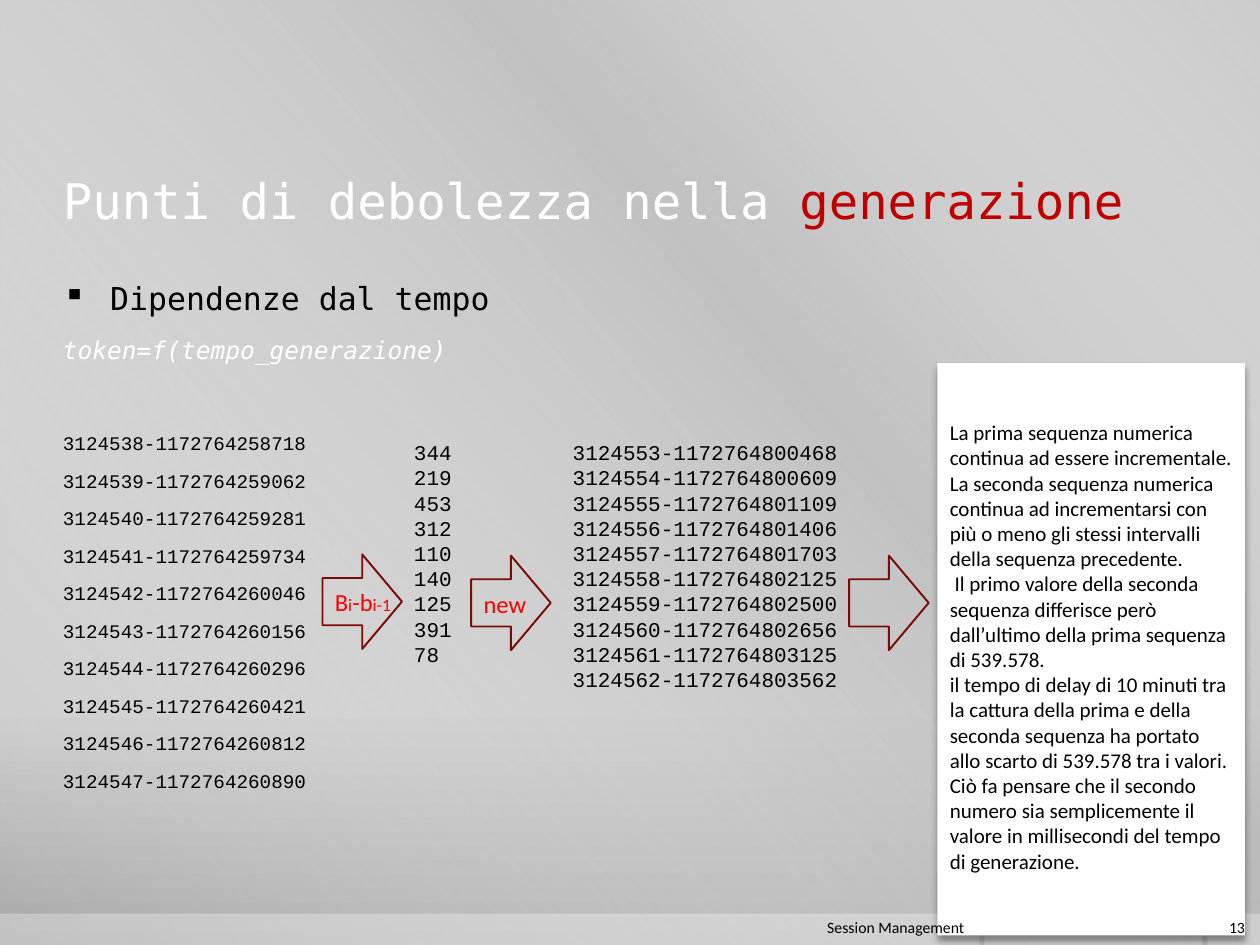
import lxml.etree as etree
import pptx
import pptx.dml.color
import pptx.enum.shapes
import pptx.enum.text
import pptx.oxml.ns
import pptx.util

Pt = pptx.util.Pt
SHAPE = pptx.enum.shapes.MSO_SHAPE
ANCHOR = pptx.enum.text.MSO_ANCHOR
ALIGN = pptx.enum.text.PP_ALIGN
MONO, CODE, SANS = "DejaVu Sans Mono", "Courier New", "Calibri"
COLORS = {
    "white": "FFFFFF", "black": "000000", "accent": "C00000", "label": "FF0000",
    "outline": "7A0C07", "light": "CBCBCB", "mid": "C8C8C8", "dark": "A7A7A7",
    "sheen": "BFBFBF",
}
FIRST_TOKENS = [
    "3124538-1172764258718", "3124539-1172764259062", "3124540-1172764259281",
    "3124541-1172764259734", "3124542-1172764260046", "3124543-1172764260156",
    "3124544-1172764260296", "3124545-1172764260421", "3124546-1172764260812",
    "3124547-1172764260890",
]
DIFFERENCES = ["344", "219", "453", "312", "110", "140", "125", "391", "78"]
SECOND_TOKENS = [
    "3124553-1172764800468", "3124554-1172764800609", "3124555-1172764801109",
    "3124556-1172764801406", "3124557-1172764801703", "3124558-1172764802125",
    "3124559-1172764802500", "3124560-1172764802656", "3124561-1172764803125",
    "3124562-1172764803562",
]
REMARKS = [
    "La prima sequenza numerica continua ad essere incrementale.",
    "La seconda sequenza numerica continua ad incrementarsi con più o meno "
    "gli stessi intervalli della sequenza precedente.",
    " Il primo valore della seconda sequenza differisce però dall’ultimo "
    "della prima sequenza di 539.578.",
    "il tempo di delay di 10 minuti tra la cattura della prima e della seconda "
    "sequenza ha portato allo scarto di 539.578 tra i valori. Ciò fa pensare che "
    "il secondo numero sia semplicemente il valore in millisecondi del tempo di "
    "generazione.",
]


def rgb(color):
    return pptx.dml.color.RGBColor.from_string(COLORS[color])


def add_xml(parent, tag, **attrs):
    el = etree.SubElement(parent, pptx.oxml.ns.qn(tag))
    for name, value in attrs.items():
        el.set(name, str(value))
    return el


def add_color(parent, color, opacity):
    el = add_xml(parent, "a:srgbClr", val=COLORS[color])
    if opacity < 100:
        add_xml(el, "a:alpha", val=opacity * 1000)


def set_gradient(fill, owner, stops, angle):
    fill.gradient()
    grad = next(owner.iter(pptx.oxml.ns.qn("a:gradFill")))
    for child in list(grad):
        grad.remove(child)
    gs_list = add_xml(grad, "a:gsLst")
    for pos, color, opacity in stops:
        add_color(add_xml(gs_list, "a:gs", pos=pos * 1000), color, opacity)
    add_xml(grad, "a:lin", ang=angle * 60000, scaled=0)


def add_shape(s, kind, x, y, w, h):
    sp = s.shapes.add_shape(kind, Pt(x), Pt(y), Pt(w), Pt(h))
    sp.shadow.inherit = False
    sp.line.fill.background()
    return sp


def add_bar(s, x, w):
    sp = add_shape(s, SHAPE.RECTANGLE, x, 522, w, 18)
    sp.fill.solid()
    sp.fill.fore_color.rgb = rgb("white")
    color = next(sp._element.spPr.iter(pptx.oxml.ns.qn("a:srgbClr")))
    add_xml(color, "a:alpha", val=30000)


def add_arrow(s, x, y):
    sp = add_shape(s, SHAPE.RIGHT_ARROW, x, y, 45.4, 54)
    sp.fill.background()
    sp.line.color.rgb = rgb("outline")
    sp.line.width = Pt(1.1)


def set_frame(tf, side=7.2, top=3.6, anchor=ANCHOR.TOP):
    tf.word_wrap = True
    tf.margin_left = tf.margin_right = Pt(side)
    tf.margin_top, tf.margin_bottom = Pt(top), Pt(3.6)
    tf.vertical_anchor = anchor


def add_box(s, x, y, w, h, **frame):
    tf = s.shapes.add_textbox(Pt(x), Pt(y), Pt(w), Pt(h)).text_frame
    set_frame(tf, **frame)
    return tf


def add_run(p, text, size, font, color, italic=False):
    r = p.add_run()
    r.text = text
    r.font.size = Pt(size)
    r.font.name = font
    r.font.italic = italic
    r.font.color.rgb = rgb(color)


def add_paragraph(tf, text, size, font, color, italic=False, before=0, after=0,
                  align=ALIGN.LEFT):
    p = tf.add_paragraph() if tf.paragraphs[0].runs else tf.paragraphs[0]
    p.alignment = align
    p.line_spacing = Pt(round(size * 1.2, 1))
    p.space_before, p.space_after = Pt(before), Pt(after)
    add_run(p, text, size, font, color, italic)
    return p


def add_bullet(p, char, indent):
    pPr = p._p.get_or_add_pPr()
    pPr.set("marL", str(Pt(indent)))
    pPr.set("indent", str(-Pt(indent)))
    add_xml(pPr, "a:buChar", char=char)


def add_lines(tf, lines, font):
    for line in lines:
        add_paragraph(tf, line, 12, font, "black")


def add_background(s):
    set_gradient(s.background.fill, s._element,
                 [(0, "light", 100), (76, "mid", 100), (100, "dark", 100)], 90)
    sp = add_shape(s, SHAPE.RECTANGLE, 0, 0, 720, 540)
    set_gradient(sp.fill, sp._element.spPr,
                 [(0, "white", 0), (34, "sheen", 61), (38, "sheen", 76),
                  (100, "white", 0)], 140)
    for x, w in [(690, 30), (562.5, 124.5), (0, 559.5)]:
        add_bar(s, x, w)


def add_title(s):
    tf = add_box(s, 36, 78, 648, 72, side=0, anchor=ANCHOR.MIDDLE)
    p = tf.paragraphs[0]
    add_run(p, "Punti di debolezza nella ", 28, MONO, "white")
    add_run(p, "generazione", 28, MONO, "accent")


def add_body(s):
    tf = add_box(s, 36, 156, 335.5, 326, side=0)
    p = add_paragraph(tf, "Dipendenze dal tempo", 18, MONO, "black", after=6)
    add_bullet(p, "▪", 27)
    add_paragraph(tf, "token=f(tempo_generazione)", 14, MONO, "white", italic=True,
                  before=4, after=6)
    for i, token in enumerate(FIRST_TOKENS):
        add_paragraph(tf, token, 11, CODE, "black", before=2.2 if i else 32.5, after=6)


def add_remarks(s):
    sp = add_shape(s, SHAPE.RECTANGLE, 535.7, 207.5, 175.7, 327)
    sp.fill.solid()
    sp.fill.fore_color.rgb = rgb("white")
    effects = sp._element.spPr.find(pptx.oxml.ns.qn("a:effectLst"))
    shadow = add_xml(effects, "a:outerShdw", blurRad=Pt(4), dist=Pt(3),
                     dir=90 * 60000, rotWithShape=0)
    add_color(shadow, "black", 40)
    set_frame(sp.text_frame, top=32.4)
    add_lines(sp.text_frame, REMARKS, SANS)


def add_steps(s):
    p = add_box(s, 184.3, 332, 56, 24.5).paragraphs[0]
    for text, size in [("B", 14), ("i", 10), ("-b", 14), ("i-1", 10)]:
        add_run(p, text, size, SANS, "label")
    p = add_box(s, 269.3, 333, 56, 24.5).paragraphs[0]
    add_run(p, "new", 14, SANS, "label")
    for x, y in [(184.3, 316.8), (269.3, 317.5), (485.3, 317.5)]:
        add_arrow(s, x, y)


def add_footer(s, text, x, w):
    tf = add_box(s, x, 520.6, w, 18, anchor=ANCHOR.MIDDLE)
    add_paragraph(tf, text, 9, SANS, "black", align=ALIGN.RIGHT)


def main():
    prs = pptx.Presentation()
    prs.slide_width, prs.slide_height = Pt(720), Pt(540)
    s = prs.slides.add_slide(prs.slide_layouts[6])
    add_background(s)
    add_title(s)
    add_body(s)
    add_lines(add_box(s, 229.5, 247.7, 102, 152.6), DIFFERENCES, CODE)
    add_lines(add_box(s, 320.2, 247.7, 221, 170), SECOND_TOKENS, CODE)
    add_remarks(s)
    add_steps(s)
    add_footer(s, "Session Management", 36, 522)
    add_footer(s, "13", 688.3, 30.2)
    prs.save("out.pptx")


if __name__ == "__main__":
    main()
